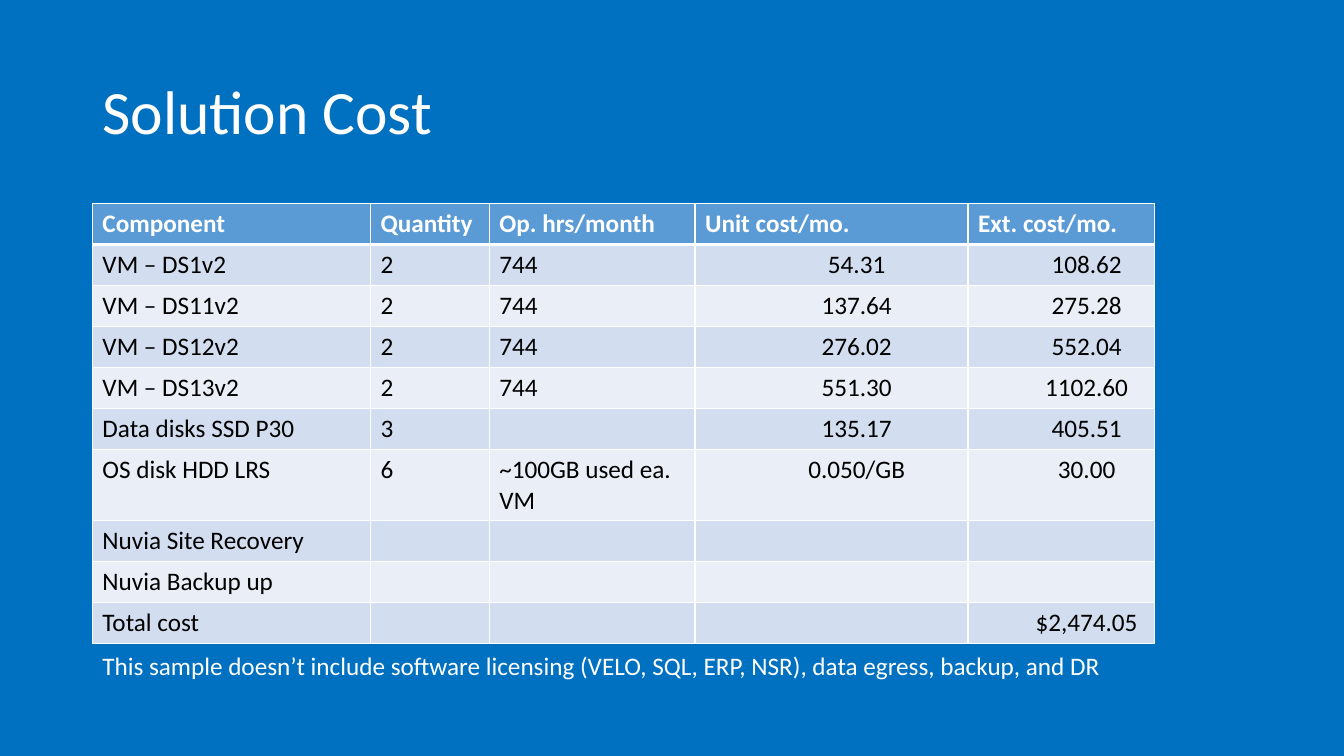
from lxml import etree
from pptx import Presentation
from pptx.dml.color import RGBColor
from pptx.enum.text import MSO_ANCHOR, MSO_AUTO_SIZE, PP_ALIGN
from pptx.oxml.ns import qn
from pptx.util import Pt

PX = 9525
LEFT, CENTER = PP_ALIGN.LEFT, PP_ALIGN.CENTER
MIDDLE = MSO_ANCHOR.MIDDLE
GROW = MSO_AUTO_SIZE.SHAPE_TO_FIT_TEXT

BLUE = RGBColor(0x00, 0x70, 0xC0)
HEADER = RGBColor(0x5B, 0x9B, 0xD5)
BAND_DARK = RGBColor(0xD2, 0xDE, 0xEF)
BAND_LIGHT = RGBColor(0xEA, 0xEF, 0xF7)
WHITE = RGBColor(0xFF, 0xFF, 0xFF)
BLACK = RGBColor(0x00, 0x00, 0x00)

MARGIN = 88
ROW_HEIGHT = 39
COST_INDENT = 48
COLUMN_WIDTHS = [265, 113, 196, 260, 178]
COST_COLUMNS = (3, 4)
ROWS = [
    ["Component", "Quantity", "Op. hrs/month", "Unit cost/mo.", "Ext. cost/mo."],
    ["VM – DS1v2", "2", "744", "54.31", "108.62"],
    ["VM – DS11v2", "2", "744", "137.64", "275.28"],
    ["VM – DS12v2", "2", "744", "276.02", "552.04"],
    ["VM – DS13v2", "2", "744", "551.30", "1102.60"],
    ["Data disks SSD P30", "3", "", "135.17", "405.51"],
    ["OS disk HDD LRS", "6", "~100GB used ea. VM", "0.050/GB", "30.00"],
    ["Nuvia Site Recovery", "", "", "", ""],
    ["Nuvia Backup up", "", "", "", ""],
    ["Total cost", "", "", "", "$2,474.05"],
]
NOTE = ("This sample doesn’t include software licensing "
        "(VELO, SQL, ERP, NSR), data egress, backup, and DR")


def px(*lengths):
    return [n * PX for n in lengths]


def set_attrs(obj, values):
    for name, value in values.items():
        setattr(obj, name, value)


def write(tf, text, size, color, bold=False):
    p = tf.paragraphs[0]
    r = p.add_run()
    r.text = text
    set_attrs(r.font, {"name": "Calibri", "size": Pt(size), "bold": bold})
    r.font.color.rgb = color
    return p


def add_title(s, text, left, top, width, height):
    sp = s.shapes.title
    box = px(left, top, width, height)
    set_attrs(sp, dict(zip(("left", "top", "width", "height"), box)))
    sp.text_frame.vertical_anchor = MIDDLE
    p = write(sp.text_frame, text, 44, WHITE)
    set_attrs(p, {"alignment": LEFT, "line_spacing": 0.9})


def add_note(s, text, left, top, width, height):
    tf = s.shapes.add_textbox(*px(left, top, width, height)).text_frame
    set_attrs(tf, {"word_wrap": False, "auto_size": GROW})
    write(tf, text, 18, WHITE)


def set_borders(cell, widths):
    tcPr = cell._tc.get_or_add_tcPr()
    for side, width in widths.items():
        ln = etree.SubElement(tcPr, qn(f"a:ln{side}"), w=str(Pt(width)))
        fill = etree.SubElement(ln, qn("a:solidFill"))
        etree.SubElement(fill, qn("a:srgbClr"), val=str(WHITE))


def format_cell(cell, text, row, col):
    is_header = row == 0
    set_borders(cell, {"L": 1, "R": 1, "T": 3 if row == 1 else 1,
                       "B": 3 if is_header else 1})
    cell.fill.solid()
    band = BAND_DARK if row % 2 else BAND_LIGHT
    cell.fill.fore_color.rgb = HEADER if is_header else band
    if not text:
        cell.text_frame.paragraphs[0].font.size = Pt(18)
        return
    p = write(cell.text_frame, text, 18, WHITE if is_header else BLACK, is_header)
    if col in COST_COLUMNS and not is_header:
        set_attrs(p, {"alignment": CENTER, "level": 1})
        pPr = p._p.get_or_add_pPr()
        pPr.set("marL", str(COST_INDENT * PX))
        pPr.set("indent", "0")


def add_cost_table(s, left, top):
    box = px(left, top, sum(COLUMN_WIDTHS), ROW_HEIGHT * len(ROWS))
    table = s.shapes.add_table(len(ROWS), len(COLUMN_WIDTHS), *box).table
    for column, width in zip(table.columns, COLUMN_WIDTHS):
        column.width = width * PX
    for row, texts in enumerate(ROWS):
        for col, text in enumerate(texts):
            format_cell(table.cell(row, col), text, row, col)


def main():
    prs = Presentation()
    prs.slide_width, prs.slide_height = px(1280, 720)
    s = prs.slides.add_slide(prs.slide_layouts[5])
    s.background.fill.solid()
    s.background.fill.fore_color.rgb = BLUE
    add_title(s, "Solution Cost", MARGIN, 40, 1104, 139)
    add_cost_table(s, MARGIN, 194)
    add_note(s, NOTE, MARGIN, 615, 973, 39)
    prs.save("out.pptx")


if __name__ == "__main__":
    main()
